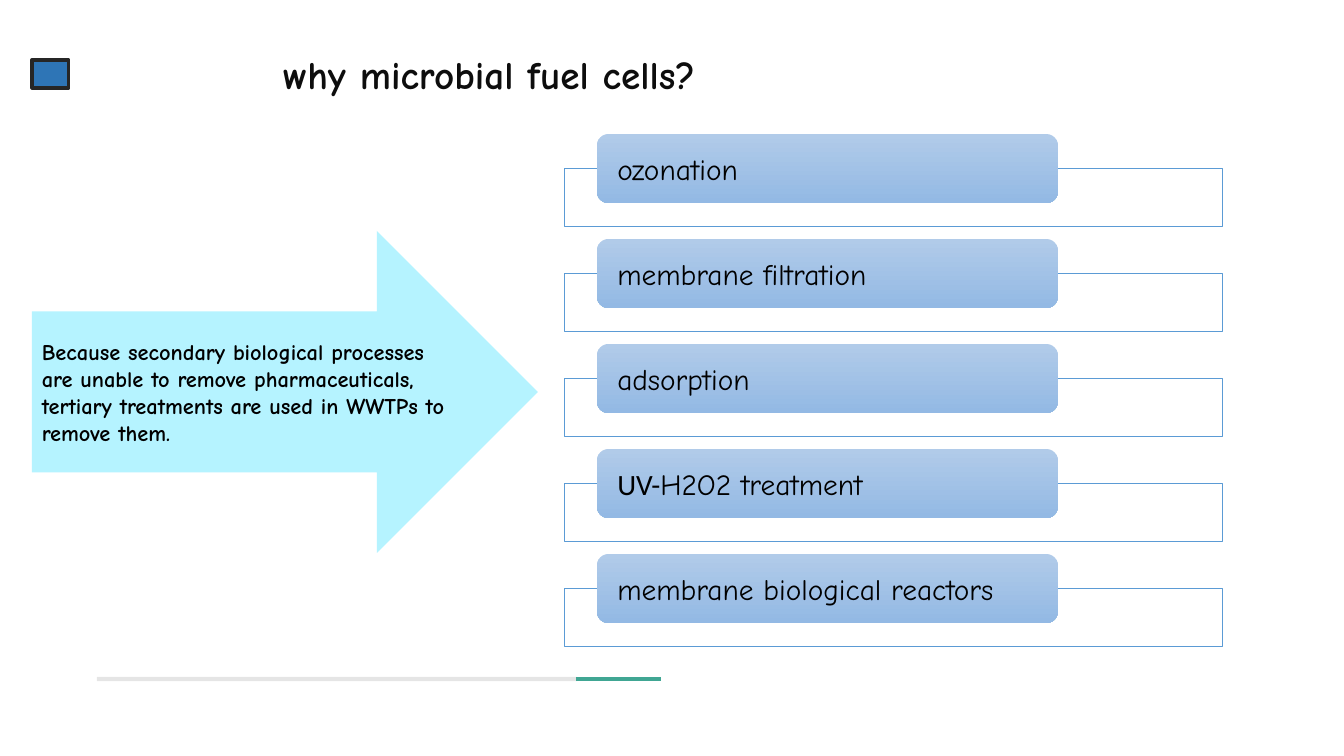
from dataclasses import dataclass

from lxml import etree
from pptx import Presentation
from pptx.dml.color import RGBColor
from pptx.enum.shapes import MSO_CONNECTOR, MSO_SHAPE
from pptx.enum.text import MSO_ANCHOR, MSO_AUTO_SIZE, PP_ALIGN
from pptx.oxml.ns import qn
from pptx.shapes.autoshape import Shape
from pptx.slide import Slide
from pptx.text.text import Font
from pptx.util import Emu, Pt

SLIDE_WIDTH, SLIDE_HEIGHT = 1344, 756
EMU_PER_PX = 12192000 / SLIDE_WIDTH

BLACK = RGBColor(0x00, 0x00, 0x00)
WHITE = RGBColor(0xFF, 0xFF, 0xFF)
TITLE_INK = RGBColor(0x0D, 0x0D, 0x0D)
MARKER_BLUE = RGBColor(0x2E, 0x75, 0xB6)
MARKER_EDGE = RGBColor(0x26, 0x26, 0x26)
PROGRESS_GREEN = RGBColor(0x40, 0xA6, 0x93)
FRAME_BLUE = RGBColor(0x5B, 0x9B, 0xD5)
PILL_TOP = RGBColor(0xB1, 0xCB, 0xE9)
PILL_BOTTOM = RGBColor(0x93, 0xB9, 0xE4)
ARROW_CYAN = RGBColor(0xB5, 0xF3, 0xFF)

RECTANGLE = MSO_SHAPE.RECTANGLE
ROUNDED = MSO_SHAPE.ROUNDED_RECTANGLE
RIGHT_ARROW = MSO_SHAPE.RIGHT_ARROW
STRAIGHT = MSO_CONNECTOR.STRAIGHT
MIDDLE = MSO_ANCHOR.MIDDLE
LEFT, CENTER = PP_ALIGN.LEFT, PP_ALIGN.CENTER
FIT_SHAPE = MSO_AUTO_SIZE.SHAPE_TO_FIT_TEXT

HAND_FONT = "Comic Neue"
PLAIN_FONT = "Calibri"


@dataclass(frozen=True)
class Box:
    left: int
    top: int
    width: int
    height: int

    def lowered(self, distance: int) -> "Box":
        return Box(self.left, self.top + distance, self.width, self.height)

    def emu(self) -> tuple[Emu, Emu, Emu, Emu]:
        return px(self.left), px(self.top), px(self.width), px(self.height)


@dataclass(frozen=True)
class Treatment:
    name: str
    plain_prefix: str = ""


@dataclass(frozen=True)
class ProgressLine:
    start: int
    end: int
    color: RGBColor
    opacity: int = 100


TREATMENTS = (
    Treatment("ozonation"),
    Treatment("membrane filtration"),
    Treatment("adsorption"),
    Treatment("H2O2 treatment", plain_prefix="UV-"),
    Treatment("membrane biological reactors"),
)
FIRST_FRAME = Box(564, 168, 658, 58)
FIRST_PILL = Box(597, 134, 461, 69)
TREATMENT_PITCH = 105

PROGRESS_TOP = 679
PROGRESS_LINES = (
    ProgressLine(97, 577, BLACK, opacity=10),
    ProgressLine(576, 661, PROGRESS_GREEN),
)


def px(length: int) -> Emu:
    return Emu(round(length * EMU_PER_PX))


def set_opacity(element: etree._Element, percent: int) -> None:
    """Make the first colour found in the element partly transparent."""
    color = next(element.iter(qn("a:srgbClr")))
    etree.SubElement(color, qn("a:alpha")).set("val", str(percent * 1000))


def style_font(font: Font, size: int, color: RGBColor, bold: bool = False,
               name: str = HAND_FONT) -> None:
    font.name = name
    font.size = Pt(size)
    font.bold = bold
    font.color.rgb = color


def add_plain_shape(page: Slide, kind: MSO_SHAPE, box: Box) -> Shape:
    """Add a shape with neither shadow nor outline."""
    shape = page.shapes.add_shape(kind, *box.emu())
    shape.shadow.inherit = False
    shape.line.fill.background()
    return shape


def add_filled_shape(page: Slide, kind: MSO_SHAPE, box: Box, color: RGBColor) -> Shape:
    shape = add_plain_shape(page, kind, box)
    shape.fill.solid()
    shape.fill.fore_color.rgb = color
    return shape


def set_outline(shape: Shape, color: RGBColor, width: float) -> None:
    shape.line.color.rgb = color
    shape.line.width = Pt(width)


def add_title(page: Slide) -> None:
    title = page.shapes.add_textbox(*Box(245, 45, 488, 57).emu())
    frame = title.text_frame
    frame.text = "why microbial fuel cells?"
    frame.word_wrap = False
    frame.auto_size = FIT_SHAPE
    para = frame.paragraphs[0]
    para.alignment = CENTER
    style_font(para.runs[0].font, 28, TITLE_INK, bold=True)


def add_progress_line(page: Slide, progress: ProgressLine) -> None:
    line = page.shapes.add_connector(
        STRAIGHT, px(progress.start), px(PROGRESS_TOP), px(progress.end), px(PROGRESS_TOP))
    line.line.color.rgb = progress.color
    line.line.width = Pt(3)
    properties = line.element.spPr
    if progress.opacity < 100:
        set_opacity(properties, progress.opacity)
    etree.SubElement(properties, qn("a:effectLst"))


def add_treatment(page: Slide, treatment: Treatment, drop: int) -> None:
    frame_box = add_filled_shape(page, RECTANGLE, FIRST_FRAME.lowered(drop), WHITE)
    set_opacity(frame_box.element.spPr, 90)
    set_outline(frame_box, FRAME_BLUE, 0.5)

    pill = add_plain_shape(page, ROUNDED, FIRST_PILL.lowered(drop))
    pill.fill.gradient()
    pill.fill.gradient_angle = 270
    for stop, color in zip(pill.fill.gradient_stops, (PILL_TOP, PILL_BOTTOM)):
        stop.color.rgb = color

    frame = pill.text_frame
    frame.word_wrap = True
    frame.vertical_anchor = MIDDLE
    frame.margin_left = frame.margin_right = px(17)
    frame.margin_top = frame.margin_bottom = 0
    para = frame.paragraphs[0]
    para.alignment = LEFT
    for text, font_name in ((treatment.plain_prefix, PLAIN_FONT),
                            (treatment.name, HAND_FONT)):
        if text:
            span = para.add_run()
            span.text = text
            style_font(span.font, 21, BLACK, name=font_name)


def add_reason_arrow(page: Slide) -> None:
    arrow = add_filled_shape(page, RIGHT_ARROW, Box(32, 231, 506, 322), ARROW_CYAN)
    frame = arrow.text_frame
    frame.text = ("Because secondary biological processes are unable to remove "
                  "pharmaceuticals, tertiary treatments are used in WWTPs to remove them.")
    frame.word_wrap = True
    frame.vertical_anchor = MIDDLE
    para = frame.paragraphs[0]
    para.alignment = LEFT
    style_font(para.runs[0].font, 16, BLACK, bold=True)


def main() -> None:
    deck = Presentation()
    deck.slide_width, deck.slide_height = px(SLIDE_WIDTH), px(SLIDE_HEIGHT)
    page = deck.slides.add_slide(deck.slide_layouts[6])

    add_title(page)
    marker = add_filled_shape(page, RECTANGLE, Box(32, 60, 37, 28), MARKER_BLUE)
    set_outline(marker, MARKER_EDGE, 2.25)
    for progress in PROGRESS_LINES:
        add_progress_line(page, progress)
    for index, treatment in enumerate(TREATMENTS):
        add_treatment(page, treatment, index * TREATMENT_PITCH)
    add_reason_arrow(page)

    deck.save("out.pptx")


if __name__ == "__main__":
    main()
